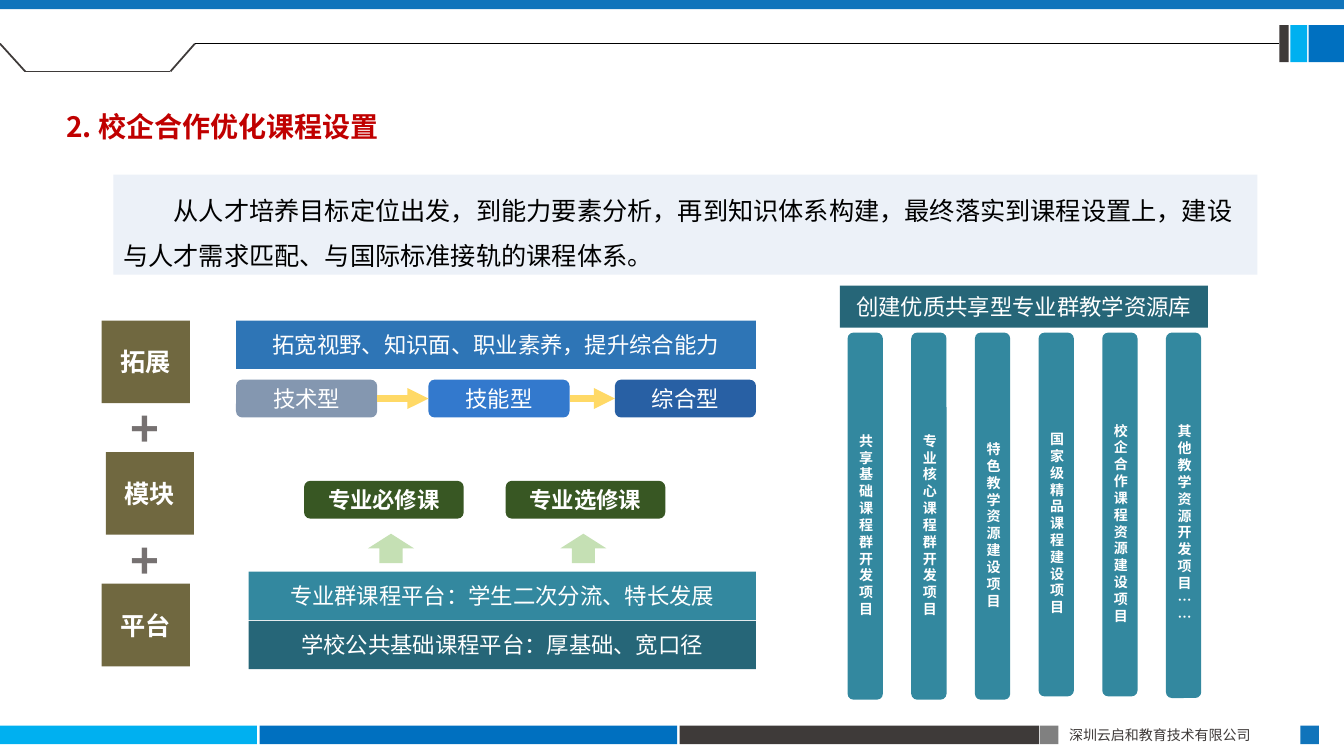
from lxml import etree
from pptx import Presentation
from pptx.dml.color import RGBColor
from pptx.enum.shapes import MSO_CONNECTOR, MSO_SHAPE
from pptx.enum.text import MSO_ANCHOR, PP_ALIGN
from pptx.oxml.ns import qn
from pptx.util import Inches, Pt

RECT, ROUND, UP = MSO_SHAPE.RECTANGLE, MSO_SHAPE.ROUNDED_RECTANGLE, MSO_SHAPE.UP_ARROW
STRAIGHT = MSO_CONNECTOR.STRAIGHT
TOP, MIDDLE = MSO_ANCHOR.TOP, MSO_ANCHOR.MIDDLE
LEFT, CENTER, JUSTIFY = PP_ALIGN.LEFT, PP_ALIGN.CENTER, PP_ALIGN.JUSTIFY
COLUMNS, ROWS = 80, 45
SIDE_LEFT, SIDE_RIGHT = 1, 3

WHITE, DARK, SKY, BLUE, ACCENT = "FFFFFF", "3E3A39", "00B0F0", "0070C0", "1074BB"
TEAL, DEEP_TEAL = "33889F", "266678"


def color(value):
    return RGBColor.from_string(value)


class SlideBuilder:
    """Draws on one slide; lengths are columns and rows of the grid."""

    font_name = "Noto Sans CJK SC"

    def __init__(self, presentation):
        self.column = presentation.slide_width / COLUMNS
        self.row = presentation.slide_height / ROWS
        self.slide = presentation.slides.add_slide(presentation.slide_layouts[6])

    def place(self, x, y):
        return round(x * self.column), round(y * self.row)

    def set_text(self, shape, text, size, ink, bold, align, anchor):
        frame = shape.text_frame
        frame.word_wrap = True
        frame.vertical_anchor = anchor
        paragraph = frame.paragraphs[0]
        paragraph.alignment = align
        run = paragraph.add_run()
        run.text = text
        font = run.font
        font.name, font.size, font.bold = self.font_name, Pt(size), bold
        font.color.rgb = color(ink)
        east_asian = etree.SubElement(run._r.get_or_add_rPr(), qn("a:ea"))
        east_asian.set("typeface", self.font_name)

    def box(self, x, y, width, height, fill, text="", size=16, bold=False,
            kind=RECT, ink=WHITE, align=CENTER, anchor=MIDDLE):
        shape = self.slide.shapes.add_shape(kind, *self.place(x, y), *self.place(width, height))
        shape.shadow.inherit = False
        shape.fill.solid()
        shape.fill.fore_color.rgb = color(fill)
        shape.line.fill.background()
        if text:
            self.set_text(shape, text, size, ink, bold, align, anchor)
        return shape

    def label(self, x, y, width, height, text, size, ink, bold=False, align=LEFT):
        shape = self.slide.shapes.add_textbox(*self.place(x, y), *self.place(width, height))
        self.set_text(shape, text, size, ink, bold, align, TOP)

    def pillar(self, x, y, width, height, text):
        shape = self.box(x, y, width, height, TEAL, text, 10, True, ROUND, align=JUSTIFY)
        shape.text_frame.margin_top = Inches(0.22)
        shape.text_frame._txBody.bodyPr.set("vert", "wordArtVertRtl")

    def line(self, start, end, ink, weight):
        connector = self.slide.shapes.add_connector(STRAIGHT, *self.place(*start), *self.place(*end))
        connector.line.color.rgb = color(ink)
        connector.line.width = Pt(weight)
        etree.SubElement(connector._element.spPr, qn("a:effectLst"))
        return connector

    def arrow(self, source, target, ink, weight):
        connector = self.line((0, 0), (1, 1), ink, weight)
        connector.begin_connect(source, SIDE_RIGHT)
        connector.end_connect(target, SIDE_LEFT)
        outline = connector._element.spPr.find(qn("a:ln"))
        etree.SubElement(outline, qn("a:tailEnd")).set("type", "triangle")


def draw_frame(builder):
    # Footer
    for x, width, fill in ((0, 15.3, SKY), (15.45, 24.85, BLUE), (40.45, 21.4, DARK),
                           (61.9, 1.1, "808080"), (77.4, 1.1, ACCENT)):
        builder.box(x, 43.2, width, 1.1, fill)
    builder.label(63.05, 42.95, 14.4, 1.6, "深圳云启和教育技术有限公司", 10, DARK, align=JUSTIFY)

    # Header bars and folded line
    builder.box(0, 0, COLUMNS, 0.55, ACCENT)
    for x, width, fill in ((77.9, 2.1, BLUE), (76.8, 1, SKY), (76.15, 0.55, DARK)):
        header_bar = builder.box(x, 1.5, width, 2.2, fill)
    fold = ((0, 2.6), (1.5, 4.25), (10.15, 4.25), (11.6, 2.6))
    for start, end in zip(fold, fold[1:]):
        builder.line(start, end, DARK, 1.25)
    builder.line(fold[-1], (76.15, 2.6), "000000", 0.5).end_connect(header_bar, SIDE_LEFT)


def draw_introduction(builder):
    builder.label(3.35, 6.25, 24, 2.65, "2. 校企合作优化课程设置", 20, "C00000", True)
    introduction = builder.box(
        6.75, 10.4, 68.1, 5.95, "ECF1F8",
        "从人才培养目标定位出发，到能力要素分析，再到知识体系构建，最终落实到课程设置上，"
        "建设与人才需求匹配、与国际标准接轨的课程体系。",
        18, ink="000000", align=LEFT, anchor=TOP)
    paragraph = introduction.text_frame.paragraphs[0]
    paragraph.line_spacing = 1.5
    paragraph._p.get_or_add_pPr().set("indent", str(Inches(0.5)))


def draw_curriculum(builder):
    # Three levels joined by plus signs
    level_pitch = 7.83
    for index, (x, text) in enumerate(((6.05, "拓展"), (6.3, "模块"), (6.05, "平台"))):
        builder.box(x, 19.08 + index * level_pitch, 5.25, 4.92, "706840", text, 18, True)
    for index in range(2):
        builder.label(7.15, 23.45 + index * level_pitch, 2.95, 4.15, "+", 35, "767171", True)

    # Extension level
    builder.box(14.05, 19.08, 30.95, 2.88, "2E75B6", "拓宽视野、知识面、职业素养，提升综合能力")
    types = [builder.box(x, 22.6, 8.4, 2.25, fill, text, kind=ROUND)
             for x, fill, text in ((14.05, "8497B0", "技术型"), (25.5, "3379CD", "技能型"),
                                   (36.6, "2860A4", "综合型"))]
    for source, target in zip(types, types[1:]):
        builder.arrow(source, target, "FFD966", 5)

    # Module level
    for x, arrow_x, text in ((18.1, 21.9, "专业必修课"), (30.1, 33.35, "专业选修课")):
        builder.box(x, 28.62, 9.5, 2.25, "385723", text, bold=True, kind=ROUND)
        builder.box(arrow_x, 31.77, 2.75, 1.75, "C5E0B4", kind=UP)

    # Platform level
    for index, (fill, text) in enumerate(((TEAL, "专业群课程平台：学生二次分流、特长发展"),
                                          (DEEP_TEAL, "学校公共基础课程平台：厚基础、宽口径"))):
        builder.box(14.8, 34.02 + index * 2.93, 30.2, 2.88, fill, text)


def draw_resources(builder):
    builder.box(50, 17, 21.9, 2.5, DEEP_TEAL, "创建优质共享型专业群教学资源库")
    projects = (("共享基础课程群开发项目", 21.85), ("专业核心课程群开发项目", 21.85),
                ("特色教学资源建设项目", 21.85), ("国家级精品课程建设项目", 21.65),
                ("校企合作课程资源建设项目", 21.65), ("其他教学资源开发项目……", 21.75))
    for index, (text, height) in enumerate(projects):
        builder.pillar(50.45 + index * 3.79, 19.8, 2.1, height, text)


def main():
    presentation = Presentation()
    presentation.slide_width, presentation.slide_height = Inches(13.33), Inches(7.5)
    builder = SlideBuilder(presentation)
    draw_frame(builder)
    draw_introduction(builder)
    draw_curriculum(builder)
    draw_resources(builder)
    presentation.save("out.pptx")


if __name__ == "__main__":
    main()
